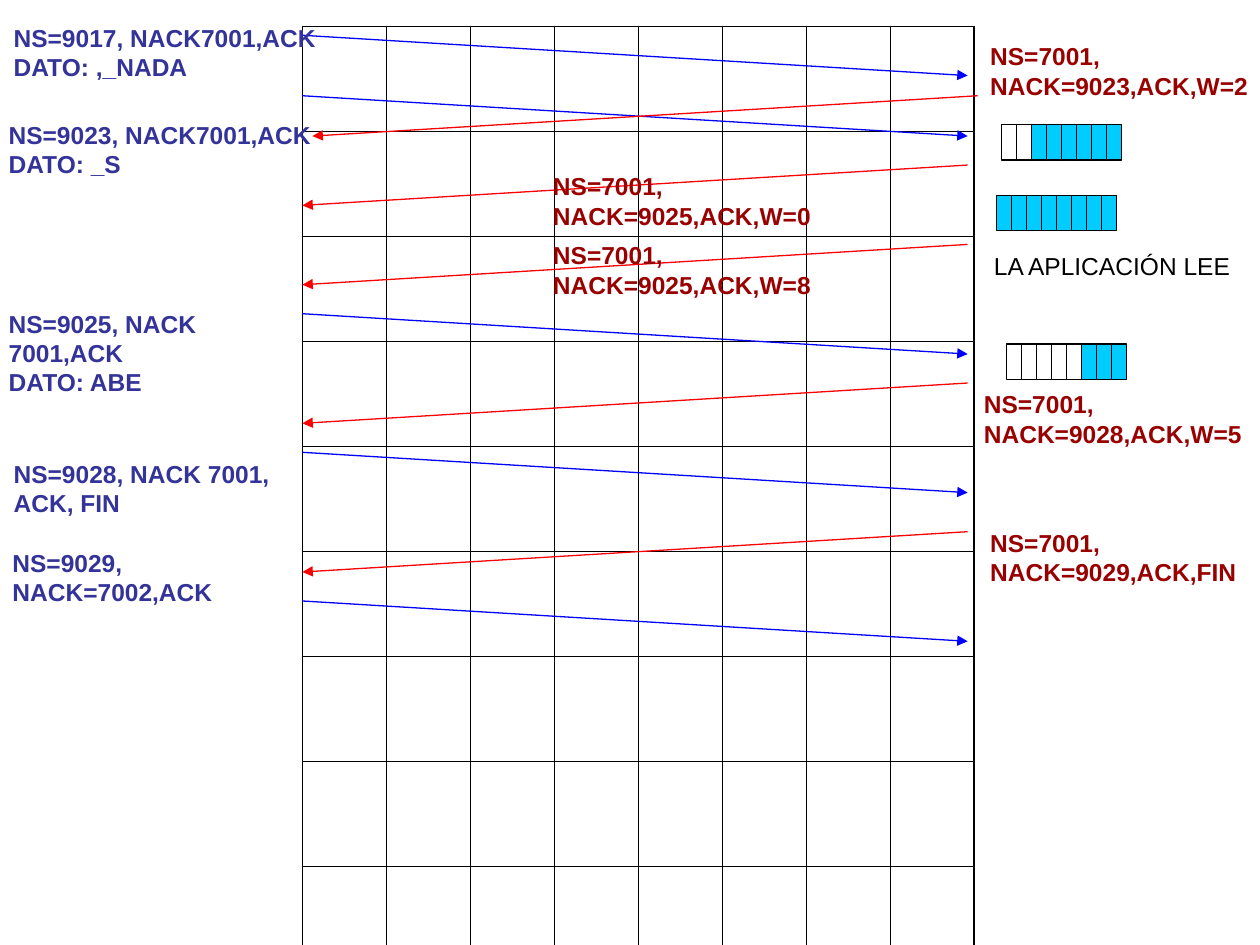
"""Build a slide showing a TCP exchange with window sizes and connection close."""
import pptx
import pptx.util
import pptx.dml.color
import pptx.enum.shapes
import pptx.enum.text
import pptx.oxml
import pptx.oxml.ns
from pptx.util import Inches

COLORS = {"sender": "333399", "receiver": "990000", "black": "000000",
          "send": "0000FF", "reply": "FF0000", "used": "00CCFF"}
ROWS, COLS = 9, 8
LEFT, RIGHT, DROP = 2.4, 7.68, 0.32
SLOTS, SLOT_W, SLOT_H = 8, 0.12, 0.28

SENDS = [0.28, 0.76, 2.49, 3.59, 4.77]
REPLIES = [(0.76, 0.08), (1.31, 0), (1.94, 0), (3.04, 0), (4.22, 0)]
WINDOWS = [(7.95, 0.99, 2), (7.91, 1.55, 0), (7.99, 2.73, 5)]
SENDER_LABELS = [
    (0.01, 0.13, 2.6, ["NS=9017, NACK7001,ACK", "DATO: ,_NADA"]),
    (-0.03, 0.9, 2.6, ["NS=9023, NACK7001,ACK", "DATO: _S"]),
    (-0.03, 2.4, 2.65, ["NS=9025, NACK 7001,ACK", "DATO: ABE"]),
    (0.01, 3.59, 2.23, ["NS=9028, NACK 7001,", "ACK, FIN"]),
]
RECEIVER_LABELS = [
    (7.76, 0.28, "NS=7001, NACK=9023,ACK,W=2"),
    (4.29, 1.31, "NS=7001, NACK=9025,ACK,W=0"),
    (4.29, 1.86, "NS=7001, NACK=9025,ACK,W=8"),
    (7.71, 3.04, "NS=7001, NACK=9028,ACK,W=5"),
    (7.76, 4.14, "NS=7001, NACK=9029,ACK,FIN"),
]


def rgb(name):
    """Return the named colour."""
    return pptx.dml.color.RGBColor.from_string(COLORS[name])


def add_border(cell, side, width):
    """Draw one black border of a table cell."""
    ns = pptx.oxml.ns.nsdecls("a")
    cell._tc.get_or_add_tcPr().append(pptx.oxml.parse_xml(
        f'<a:ln{side} {ns} w="{pptx.util.Pt(width)}"><a:solidFill>'
        f'<a:srgbClr val="{COLORS["black"]}"/></a:solidFill></a:ln{side}>'))


def add_grid(s):
    """Add the empty grid with a heavier outer border."""
    frame = s.shapes.add_table(ROWS, COLS, Inches(LEFT), Inches(0.21),
                               Inches(5.33), Inches(7.5))
    table = frame.table
    table.first_row = table.horz_banding = False
    for row in range(ROWS):
        for col in range(COLS):
            cell = table.cell(row, col)
            outer = {"L": col == 0, "R": col == COLS - 1,
                     "T": row == 0, "B": row == ROWS - 1}
            for side, is_outer in outer.items():
                add_border(cell, side, 1.08 if is_outer else 0.45)
            cell.fill.background()


def add_arrow(s, x1, x2, y, color):
    """Add a message arrow that slopes down from x1 to x2."""
    line = s.shapes.add_connector(
        pptx.enum.shapes.MSO_CONNECTOR.STRAIGHT,
        Inches(x1), Inches(y), Inches(x2), Inches(y + DROP))
    line.line.color.rgb = rgb(color)
    line.line.width = pptx.util.Pt(0.75)
    ln = line.line._get_or_add_ln()
    ln.append(ln.makeelement(pptx.oxml.ns.qn("a:tailEnd"), {"type": "triangle"}))
    props = line._element.spPr
    props.append(props.makeelement(pptx.oxml.ns.qn("a:effectLst"), {}))


def add_window(s, x, y, free):
    """Add a receive buffer whose first slots are free."""
    for i in range(SLOTS):
        sp = s.shapes.add_shape(
            pptx.enum.shapes.MSO_SHAPE.RECTANGLE, Inches(x + i * 0.95 / SLOTS),
            Inches(y), Inches(SLOT_W), Inches(SLOT_H))
        sp.shadow.inherit = False
        if i < free:
            sp.fill.background()
        else:
            sp.fill.solid()
            sp.fill.fore_color.rgb = rgb("used")
        sp.line.color.rgb = rgb("black")
        sp.line.width = pptx.util.Pt(0.75)


def add_label(s, x, y, w, lines, color, h=0.57, wrap=False, bold=True):
    """Add a text box with one paragraph per line."""
    sp = s.shapes.add_textbox(Inches(x), Inches(y), Inches(w), Inches(h))
    tf = sp.text_frame
    tf.word_wrap = wrap
    tf.auto_size = pptx.enum.text.MSO_AUTO_SIZE.SHAPE_TO_FIT_TEXT
    tf.text = "\n".join(lines)
    for p in tf.paragraphs:
        p.font.name = "Arial"
        p.font.size = pptx.util.Pt(14)
        p.font.bold = bold
        p.font.color.rgb = rgb(color)


def main():
    """Build and save the slide."""
    prs = pptx.Presentation()
    prs.slide_width, prs.slide_height = Inches(10), Inches(7.5)
    s = prs.slides.add_slide(prs.slide_layouts[6])
    add_grid(s)
    for y in SENDS:
        add_arrow(s, LEFT, RIGHT, y, "send")
    for y, shift in REPLIES:
        add_arrow(s, RIGHT + shift, LEFT + shift, y, "reply")
    for x, y, free in WINDOWS:
        add_window(s, x, y, free)
    for x, y, w, lines in SENDER_LABELS:
        add_label(s, x, y, w, lines, "sender")
    add_label(s, 0, 4.3, 2.41, ["NS=9029, NACK=7002,ACK"], "sender", wrap=True)
    for x, y, text in RECEIVER_LABELS:
        add_label(s, x, y, 2.41, [text], "receiver", wrap=True)
    add_label(s, 7.79, 1.94, 2.09, ["LA APLICACIÓN LEE"], "black", h=0.34, bold=False)
    prs.save("out.pptx")


if __name__ == "__main__":
    main()
